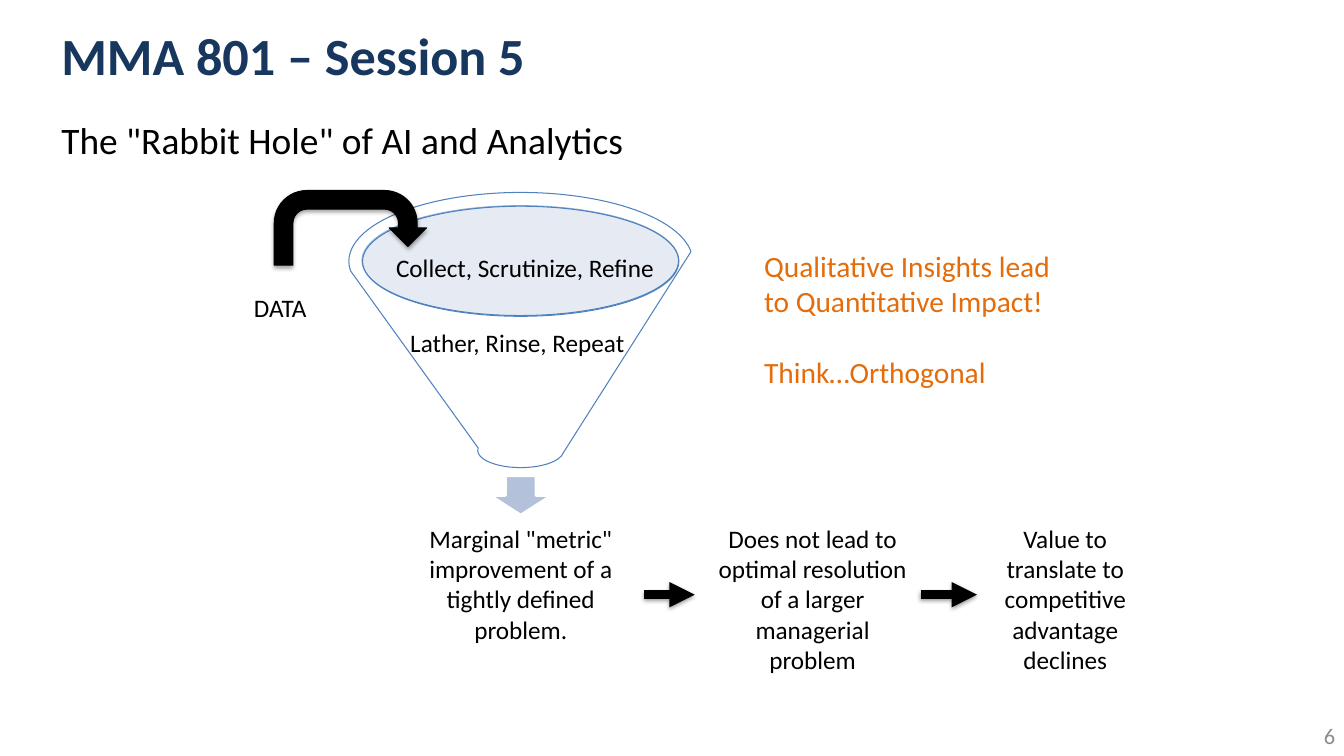
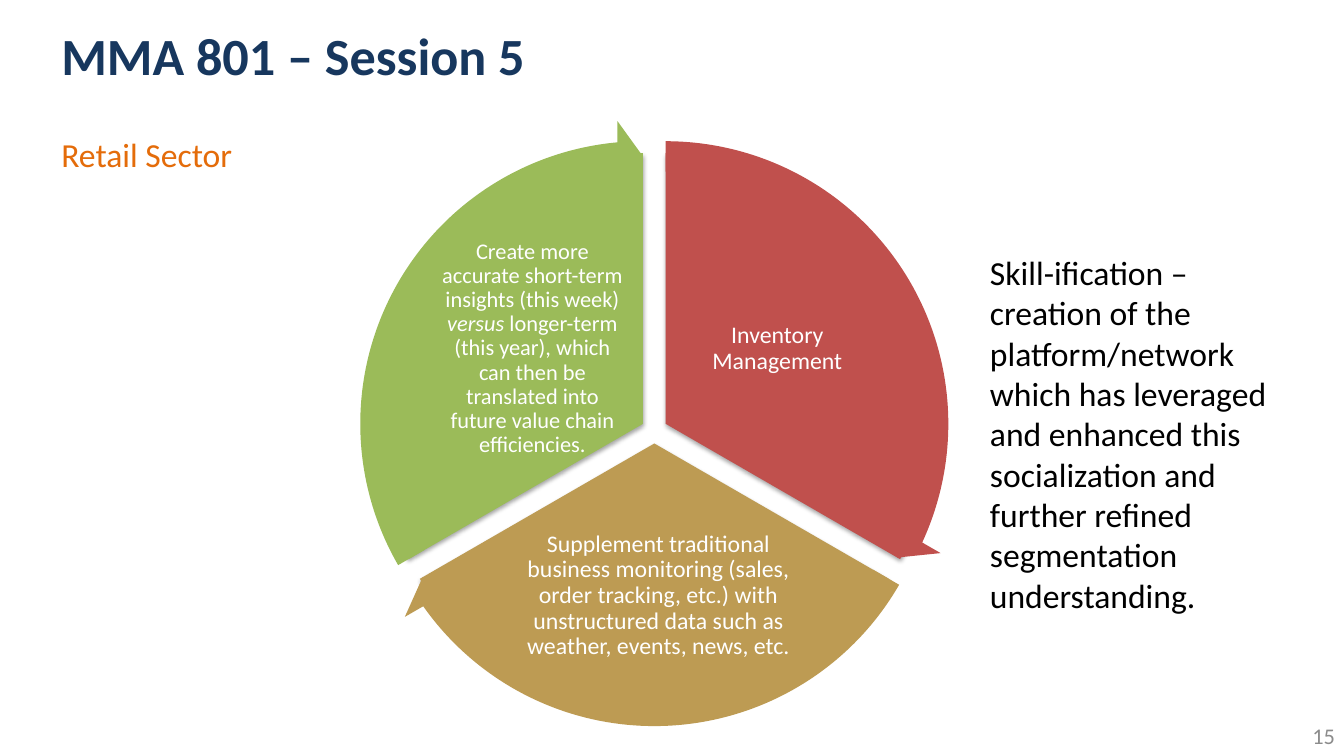
from math import cos, radians, sin

from lxml.etree import SubElement
from pptx import Presentation
from pptx.dml.color import RGBColor
from pptx.enum.shapes import MSO_CONNECTOR, MSO_SHAPE
from pptx.enum.text import MSO_ANCHOR, PP_ALIGN
from pptx.oxml.ns import qn
from pptx.util import Inches, Pt

NAVY = RGBColor(0x17, 0x37, 0x5E)
BLACK = RGBColor(0, 0, 0)
WHITE = RGBColor(0xFF, 0xFF, 0xFF)
GRAY = RGBColor(0x8C, 0x8C, 0x8C)
AMBER = RGBColor(0xE4, 0x6C, 0x0A)
BLUE = RGBColor(0x4F, 0x81, 0xBD)
PALE = RGBColor(0xC2, 0xCD, 0xE1)
STEEL = RGBColor(0xB3, 0xC1, 0xDB)
RED = RGBColor(0xC0, 0x50, 0x4D)
GOLD = RGBColor(0xBD, 0x9B, 0x53)
GREEN = RGBColor(0x9B, 0xBB, 0x59)

FONT = "Calibri"
CENTER = {"alignment": PP_ALIGN.CENTER}
MIDDLE = {"vertical_anchor": MSO_ANCHOR.MIDDLE}
TIGHT = {f"margin_{side}": Inches(0.02) for side in ("left", "top", "right", "bottom")}


def apply(target, values):
    """Set each named attribute on the target."""
    for name, value in values.items():
        setattr(target, name, value)


def write(slide, box, paras, size, color=BLACK, font=None, para=None, frame=None):
    """Add a text box; a paragraph is a string or a list of (text, italic) runs."""
    body = slide.shapes.add_textbox(*map(Inches, box)).text_frame
    apply(body, {"word_wrap": True, **(frame or {})})
    for i, runs in enumerate(paras):
        line = body.add_paragraph() if i else body.paragraphs[0]
        apply(line, para or {})
        for text, slant in [(runs, None)] if isinstance(runs, str) else runs:
            run = line.add_run()
            run.text = text
            apply(run.font, {"name": FONT, "size": Pt(size), "italic": slant, **(font or {})})
            run.font.color.rgb = color
    return body


def draw(slide, kind, box, fill, line=None, width=0.75, turns=(), alpha=None):
    """Add a flat preset shape."""
    shape = slide.shapes.add_shape(kind, *map(Inches, box))
    shape.shadow.inherit = False
    shape.fill.solid()
    shape.fill.fore_color.rgb = fill
    if alpha:
        tint = shape.fill._xPr.find(qn("a:solidFill"))[0]
        SubElement(tint, qn("a:alpha"), val=str(alpha * 1000))
    if line is None:
        shape.line.fill.background()
    else:
        shape.line.color.rgb = line
        shape.line.width = Pt(width)
    for i, turn in enumerate(turns):
        shape.adjustments[i] = turn
    return shape


def shade(shape, alpha, drop):
    """Give a shape or connector a soft shadow straight below it."""
    props = shape._element.spPr
    list_ = props.find(qn("a:effectLst"))
    if list_ is None:
        list_ = SubElement(props, qn("a:effectLst"))
    outer = SubElement(list_, qn("a:outerShdw"), blurRad=str(Pt(3.1)), dist=str(Pt(drop)),
                       dir="5400000", rotWithShape="0")
    tint = SubElement(outer, qn("a:srgbClr"), val=str(BLACK))
    SubElement(tint, qn("a:alpha"), val=str(alpha * 1000))


def arrow(slide, left, right, y):
    """Draw a thick arrow from left to right."""
    link = slide.shapes.add_connector(
        MSO_CONNECTOR.STRAIGHT, *map(Inches, (left, y, right, y)))
    link.line.color.rgb = BLACK
    link.line.width = Pt(6)
    SubElement(link.line._get_or_add_ln(), qn("a:tailEnd"), type="triangle")
    shade(link, 38, 1.6)


def start(deck, number):
    """Add a slide with the shared title and page number."""
    slide = deck.slides.add_slide(deck.slide_layouts[6])
    write(slide, (0.51, 0.07, 10.94, 0.94), ["MMA 801 – Session 5"], 37.3, NAVY,
          {"bold": True}, frame=MIDDLE)
    write(slide, (11.71, 7.1, 1.63, 0.4), [number], 16, GRAY,
          para={"alignment": PP_ALIGN.RIGHT}, frame=MIDDLE)
    return slide


def funnel(slide, x, y):
    """Draw the funnel, its labels and the data arrow from a top left corner."""
    draw(slide, MSO_SHAPE.OVAL, (x + 0.13, y + 0.13, 3.14, 1.09), PALE, BLUE, alpha=40)
    draw(slide, MSO_SHAPE.DOWN_ARROW, (x + 1.4, y + 2.81, 0.61, 0.39), STEEL, WHITE, 2)
    draw(slide, MSO_SHAPE.FUNNEL, (x, y, 3.41, 2.73), WHITE, BLUE, alpha=40)
    bend = draw(slide, MSO_SHAPE.U_TURN_ARROW, (x - 0.74, y - 0.02, 1.51, 0.74), BLACK, BLACK)
    shade(bend, 35, 1.8)
    labels = [
        (0.37, 0.54, 2.84, "Collect, Scrutinize, Refine"),
        (0.51, 1.29, 2.55, "Lather, Rinse, Repeat"),
        (-1.04, 0.94, 0.74, "DATA"),
    ]
    for left, top, width, text in labels:
        write(slide, (x + left, y + top, width, 0.4), [text], 18)


def chain(slide, x, y):
    """Write the three outcomes in a row, with arrows between them."""
    steps = [
        (0, 2.15, 'Marginal "metric" improvement of a tightly defined problem.'),
        (2.87, 2.2, "Does not lead to optimal resolution of a larger managerial problem"),
        (5.68, 1.59, "Value to translate to competitive advantage declines"),
    ]
    for left, width, text in steps:
        write(slide, (x + left, y, width, 1.62), [text], 18, para=CENTER)
    for left, right in ((2.3, 2.8), (5.04, 5.6)):
        arrow(slide, x + left, x + right, y + 0.76)


def wheel(slide, x, y):
    """Draw three sectors round a hub, each pushed out and edged by an arrow."""
    parts = [
        (RED, (1.22, -0.81, 1.92, 1.6), 17, "Inventory Management"),
        (GOLD, (0.04, 1.64, 2.88, 1.41), 17,
         "Supplement traditional business monitoring (sales, order tracking, etc.) "
         "with unstructured data such as weather, events, news, etc."),
        (GREEN, (-1.21, -0.81, 1.92, 1.6), 16,
         [("Create more accurate short-term insights (this week) ", None), ("versus", True),
          (" longer-term (this year), which can then be translated into future value chain "
           "efficiencies.", False)]),
    ]
    third, gap, pie, ring = 72, 0.13, 5.37, 6.03
    rims = []
    for i, (color, (dx, dy, wide, high), size, text) in enumerate(parts):
        angle = radians(120 * i - 30)
        cx, cy = x + gap * cos(angle), y + gap * sin(angle)
        first, last = (162 + third * i) % 216, 18 + third * i
        wedge = draw(slide, MSO_SHAPE.PIE, (cx - pie / 2, cy - pie / 2, pie, pie), color,
                     turns=(first, last))
        shade(wedge, 35, 1.8)
        write(slide, (x + dx - wide / 2, y + dy - high / 2, wide, high), [text], size, WHITE,
              para={**CENTER, "line_spacing": 0.9}, frame={**MIDDLE, **TIGHT})
        rims.append(((cx - ring / 2, cy - ring / 2, ring, ring), color,
                     (0.05, 3.28, last - 3.28, first, 0.06)))
    for box, color, turns in rims:
        draw(slide, MSO_SHAPE.CIRCULAR_ARROW, box, color, turns=turns)


def hole(deck):
    """Build the funnel slide."""
    slide = start(deck, "6")
    write(slide, (0.51, 1.11, 12.35, 5.59), ['The "Rabbit Hole" of AI and Analytics'], 26.7)
    funnel(slide, 3.46, 1.91)
    chain(slide, 4.09, 5.14)
    note = write(slide, (7.48, 2.41, 3.29, 1.51),
                 ["Qualitative Insights lead to Quantitative Impact!", "Think…Orthogonal"],
                 21, AMBER)
    note.paragraphs[1].space_before = Pt(25.5)


def retail(deck):
    """Build the wheel slide."""
    slide = start(deck, "15")
    wheel(slide, 6.49, 4.27)
    write(slide, (0.51, 1.28, 2.18, 0.5), ["Retail Sector"], 24, AMBER)
    write(slide, (9.72, 2.45, 3.31, 3.74),
          ["Skill-ification – creation of the platform/network which has leveraged and enhanced "
           "this socialization and further refined segmentation understanding."], 24)


def main():
    """Build and save the deck."""
    deck = Presentation()
    apply(deck, {"slide_width": Inches(13.33), "slide_height": Inches(7.5)})
    hole(deck)
    retail(deck)
    deck.save("out.pptx")


if __name__ == "__main__":
    main()
